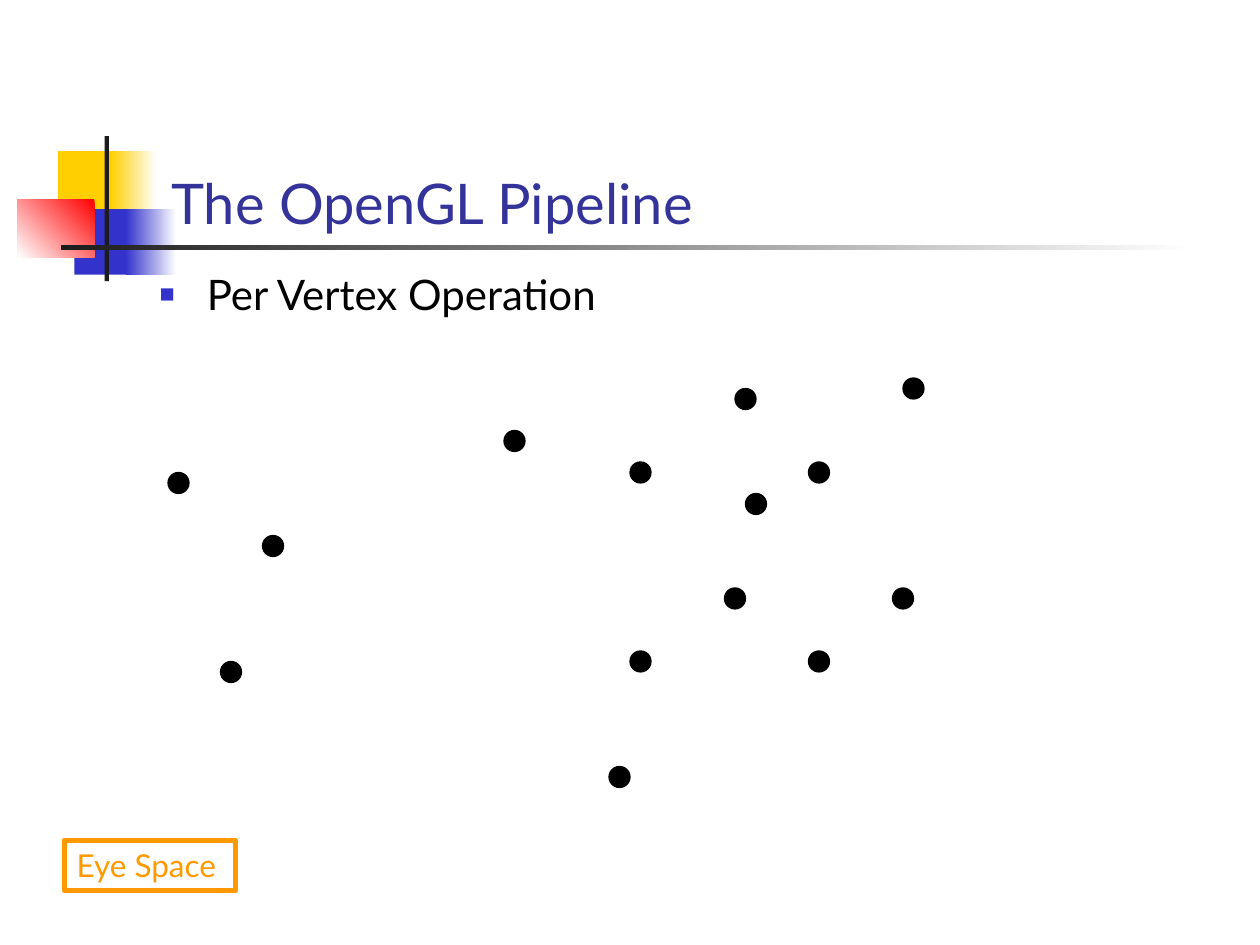
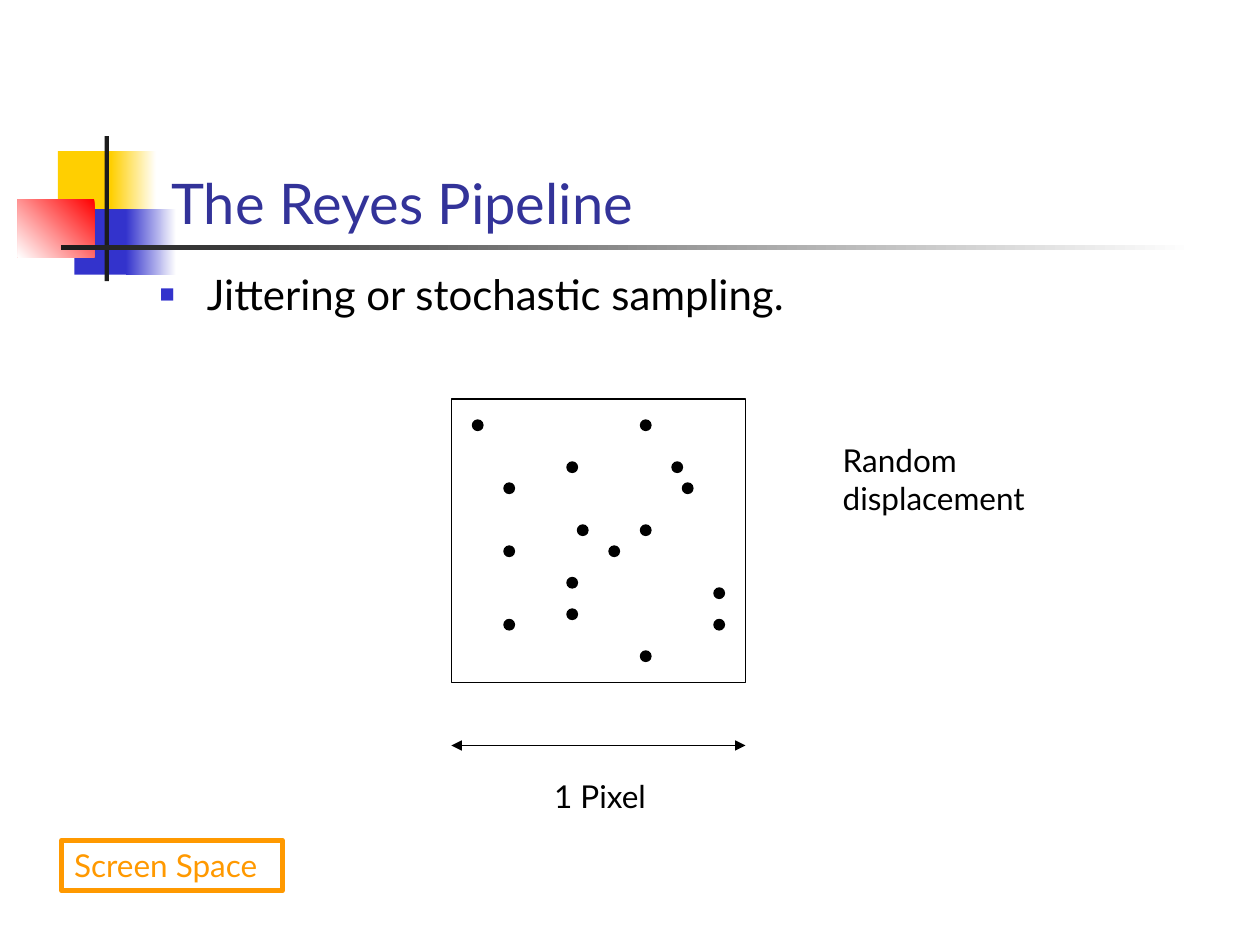
from dataclasses import dataclass
from typing import NamedTuple, Optional

import pptx
import pptx.dml.color
import pptx.enum.shapes
import pptx.enum.text
import pptx.oxml.ns
import pptx.oxml.xmlchemy
import pptx.util
from lxml import etree

Pt = pptx.util.Pt
RGB = pptx.dml.color.RGBColor.from_string
MSO_SHAPE = pptx.enum.shapes.MSO_SHAPE
MSO_ANCHOR = pptx.enum.text.MSO_ANCHOR
MSO_AUTO_SIZE = pptx.enum.text.MSO_AUTO_SIZE
PP_ALIGN = pptx.enum.text.PP_ALIGN
qn = pptx.oxml.ns.qn


@dataclass(frozen=True)
class Theme:
    font: str = "Lato"
    title_color: str = "333399"
    ink: str = "000000"
    tag_color: str = "FF9900"
    yellow: str = "FFCF01"
    blue: str = "3333CC"
    red: str = "FF0000"
    rule: str = "1C1C1C"
    white: str = "FFFFFF"
    title_size: float = 32
    body_size: float = 24
    label_size: float = 18
    thin: float = 0.75
    thick: float = 3


THEME = Theme()


class Box(NamedTuple):
    x: float
    y: float
    w: float
    h: float


class Band(NamedTuple):
    box: Box
    color: str
    fade_angle: Optional[float] = None  # fades to white when given


class Label(NamedTuple):
    box: Box
    lines: tuple[str, ...]
    color: str = THEME.ink
    framed: bool = False


TITLE_BOX = Box(90.7, 48.2, 613.4, 90)

BANDS = (
    Band(Box(33.1, 86.4, 34.6, 37.4), THEME.yellow),
    Band(Box(63.4, 86.4, 25.9, 37.4), THEME.yellow, 0),
    Band(Box(42.5, 119.5, 33.1, 37.4), THEME.blue),
    Band(Box(72, 119.5, 28.8, 37.4), THEME.blue, 0),
    Band(Box(10.1, 113.8, 43.9, 33.1), THEME.red, 225),
    Band(Box(59.8, 77.8, 2.4, 82.8), THEME.rule),
    Band(Box(34.6, 140.2, 648, 2.4), THEME.rule, 0),
)

# Dot corners, counted in cells of the drawing grid
CELL = 6
VERTICES = (
    (48, 41), (58, 73), (71, 47),
    (86, 36), (70, 37), (77, 44), (60, 44),
    (85, 56), (69, 56), (77, 62), (60, 62),
    (16, 45), (25, 51), (21, 63),
)
SAMPLES = (
    (48, 52), (48, 59), (54, 55), (58, 52),
    (68, 56), (54, 58), (61, 62), (68, 59),
    (45, 40), (54, 44), (61, 40), (64, 44),
    (48, 46), (55, 50), (61, 50), (65, 46),
)
PIXEL = Box(258, 228, 168, 162)
PIXEL_ARROW_Y = 426


def place(sp, box: Box) -> None:
    sp.left, sp.top, sp.width, sp.height = (Pt(v) for v in box)


def add_shape(slide, kind, box: Box):
    sp = slide.shapes.add_shape(kind, *(Pt(v) for v in box))
    sp.shadow.inherit = False
    return sp


def set_line(line, color: str, width: float) -> None:
    line.color.rgb = RGB(color)
    line.width = Pt(width)


def add_run(p, text: str, size: float, color: str) -> None:
    r = p.add_run()
    r.text = text
    r.font.name = THEME.font
    r.font.size = Pt(size)
    r.font.color.rgb = RGB(color)


def add_bands(slide, layout) -> None:
    """Draw the colour bands and move them to the back of the layout."""
    for i, band in enumerate(BANDS):
        sp = add_shape(slide, MSO_SHAPE.RECTANGLE, band.box)
        sp.line.fill.background()
        if band.fade_angle is None:
            sp.fill.solid()
            sp.fill.fore_color.rgb = RGB(band.color)
        else:
            sp.fill.gradient()
            sp.fill.gradient_angle = band.fade_angle
            for stop, color in zip(sp.fill.gradient_stops, (band.color, THEME.white)):
                stop.color.rgb = RGB(color)
        sp.element.xpath(".//p:cNvPr")[0].set("id", str(100 + i))
        layout.shapes.element.insert(2 + i, sp.element)


def set_title(slide, text: str) -> None:
    sp = slide.shapes.title
    place(sp, TITLE_BOX)
    tf = sp.text_frame
    tf.auto_size = MSO_AUTO_SIZE.NONE
    tf.vertical_anchor = MSO_ANCHOR.BOTTOM
    p = tf.paragraphs[0]
    p.alignment = PP_ALIGN.LEFT
    add_run(p, text, THEME.title_size, THEME.title_color)


def set_bullet(p) -> None:
    pPr = p._p.get_or_add_pPr()
    pPr.set("marL", str(Pt(27)))
    pPr.set("indent", str(Pt(-27)))
    clr = etree.SubElement(pPr, qn("a:buClr"))
    etree.SubElement(clr, qn("a:srgbClr"), val=THEME.blue)
    etree.SubElement(pPr, qn("a:buSzPct"), val="60000")
    etree.SubElement(pPr, qn("a:buChar"), char="■")


def set_body(slide, text: str, height: float) -> None:
    sp = slide.placeholders[1]
    place(sp, Box(84, 150, 612, height))
    tf = sp.text_frame
    tf.auto_size = MSO_AUTO_SIZE.NONE
    p = tf.paragraphs[0]
    set_bullet(p)
    p.space_before = Pt(0)
    add_run(p, text, THEME.body_size, THEME.ink)


def add_label(slide, label: Label) -> None:
    sp = slide.shapes.add_textbox(*(Pt(v) for v in label.box))
    if label.framed:
        set_line(sp.line, label.color, THEME.thick)
    tf = sp.text_frame
    tf.word_wrap = False
    tf.auto_size = MSO_AUTO_SIZE.SHAPE_TO_FIT_TEXT
    for i, line in enumerate(label.lines):
        p = tf.add_paragraph() if i else tf.paragraphs[0]
        add_run(p, line, THEME.label_size, label.color)


def add_dots(slide, cells: tuple[tuple[int, int], ...], size: float) -> None:
    for col, row in cells:
        sp = add_shape(slide, MSO_SHAPE.OVAL, Box(col * CELL, row * CELL, size, size))
        sp.fill.solid()
        sp.fill.fore_color.rgb = RGB(THEME.ink)
        set_line(sp.line, THEME.ink, THEME.thin)


def add_pixel(slide) -> None:
    """Draw the pixel outline and the double arrow that measures it."""
    sp = add_shape(slide, MSO_SHAPE.RECTANGLE, PIXEL)
    sp.fill.background()
    set_line(sp.line, THEME.ink, THEME.thin)

    arrow = slide.shapes.add_connector(
        pptx.enum.shapes.MSO_CONNECTOR.STRAIGHT,
        Pt(PIXEL.x), Pt(PIXEL_ARROW_Y), Pt(PIXEL.x + PIXEL.w), Pt(PIXEL_ARROW_Y))
    set_line(arrow.line, THEME.ink, THEME.thin)
    ln = arrow.line._get_or_add_ln()
    for end in ("a:headEnd", "a:tailEnd"):
        etree.SubElement(ln, qn(end), type="triangle")
    etree.SubElement(arrow.element.spPr, qn("a:effectLst"))


def build_opengl(slide) -> None:
    set_title(slide, "The OpenGL Pipeline")
    set_body(slide, "Per Vertex Operation", 324)
    add_dots(slide, VERTICES, 12)
    add_label(slide, Label(Box(36.7, 480.2, 97.9, 28.8), ("Eye Space",),
                           THEME.tag_color, framed=True))


def build_reyes(slide) -> None:
    set_title(slide, "The Reyes Pipeline")
    set_body(slide, "Jittering or stochastic sampling.", 30)
    add_label(slide, Label(Box(35.3, 480.2, 126, 28.8), ("Screen Space",),
                           THEME.tag_color, framed=True))
    add_pixel(slide)
    add_label(slide, Label(Box(309.6, 440.6, 69.1, 28.8), ("1 Pixel",)))
    add_dots(slide, SAMPLES, 6)
    add_label(slide, Label(Box(474.5, 248.4, 127.4, 72), ("Random", "displacement")))


def main() -> None:
    prs = pptx.Presentation()
    prs.slide_width, prs.slide_height = Pt(720), Pt(540)
    layout = prs.slide_layouts[1]
    opengl, reyes = (prs.slides.add_slide(layout) for _ in range(2))
    add_bands(opengl, layout)
    build_opengl(opengl)
    build_reyes(reyes)
    prs.save("out.pptx")


if __name__ == "__main__":
    main()
